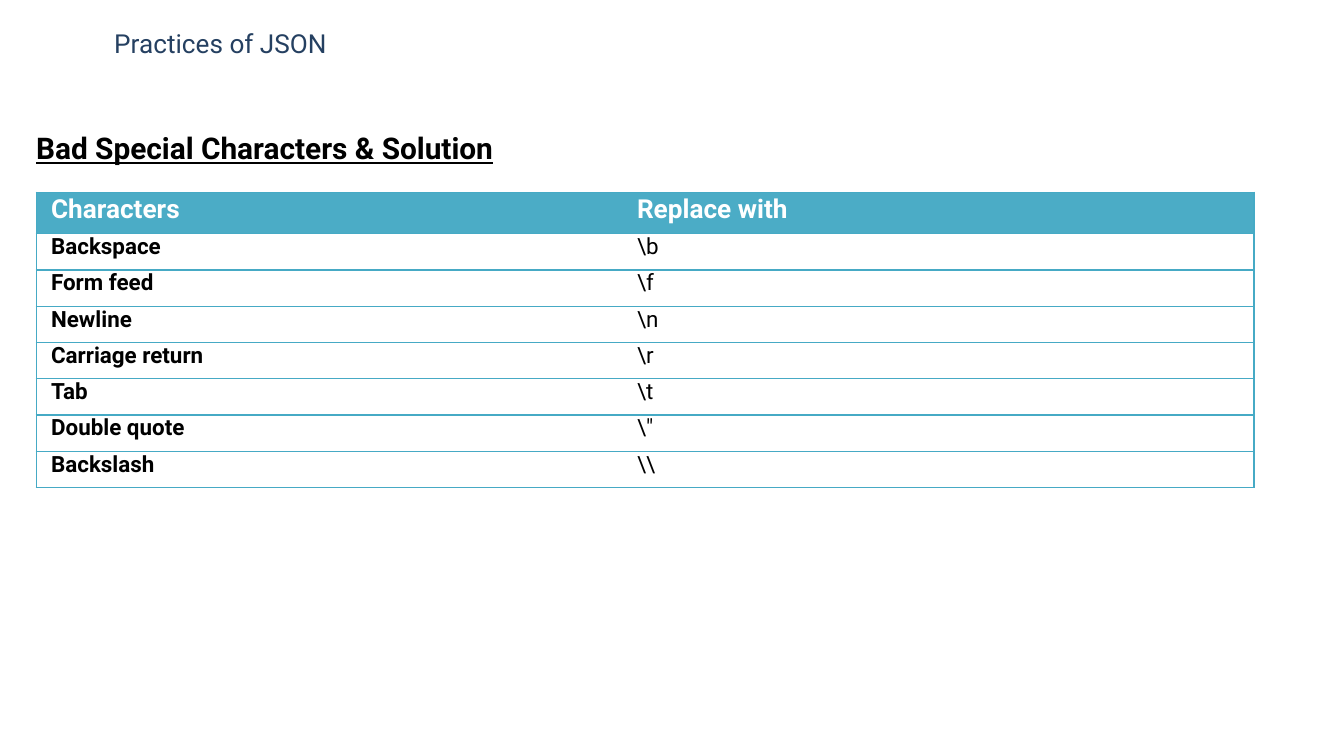
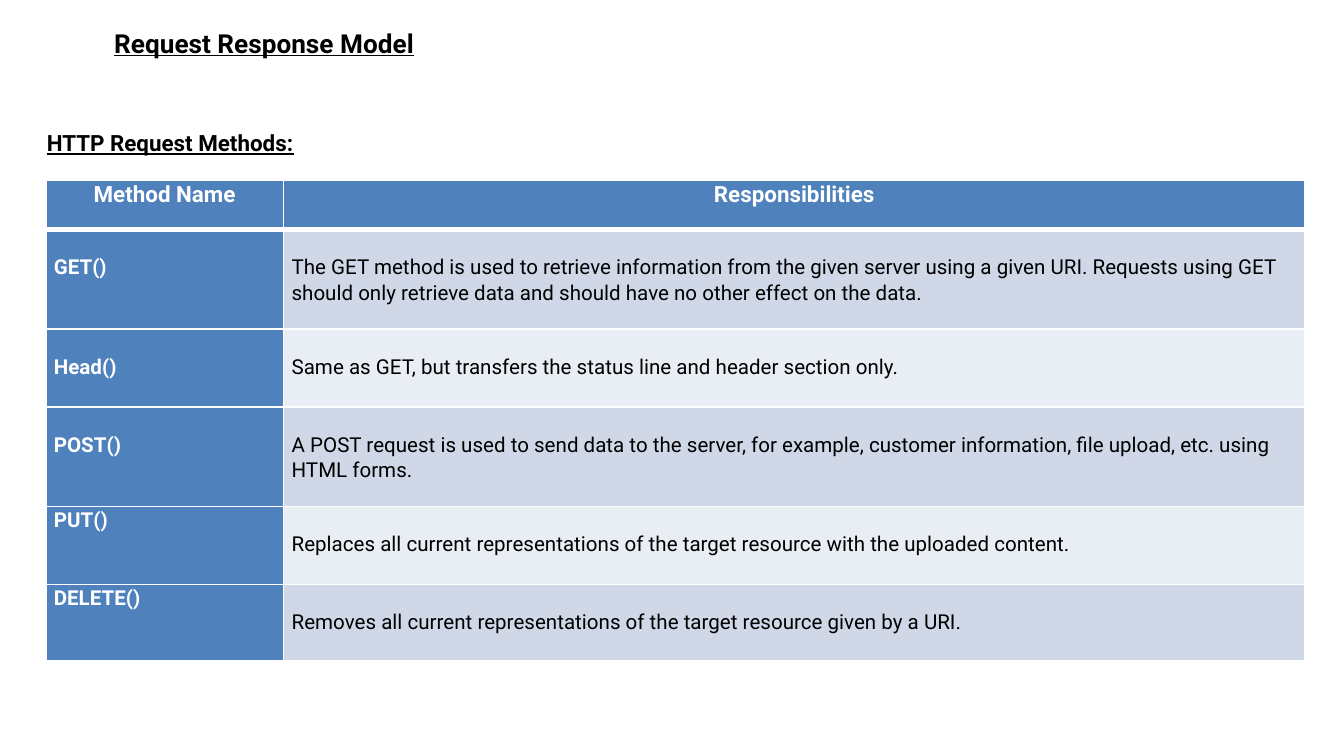
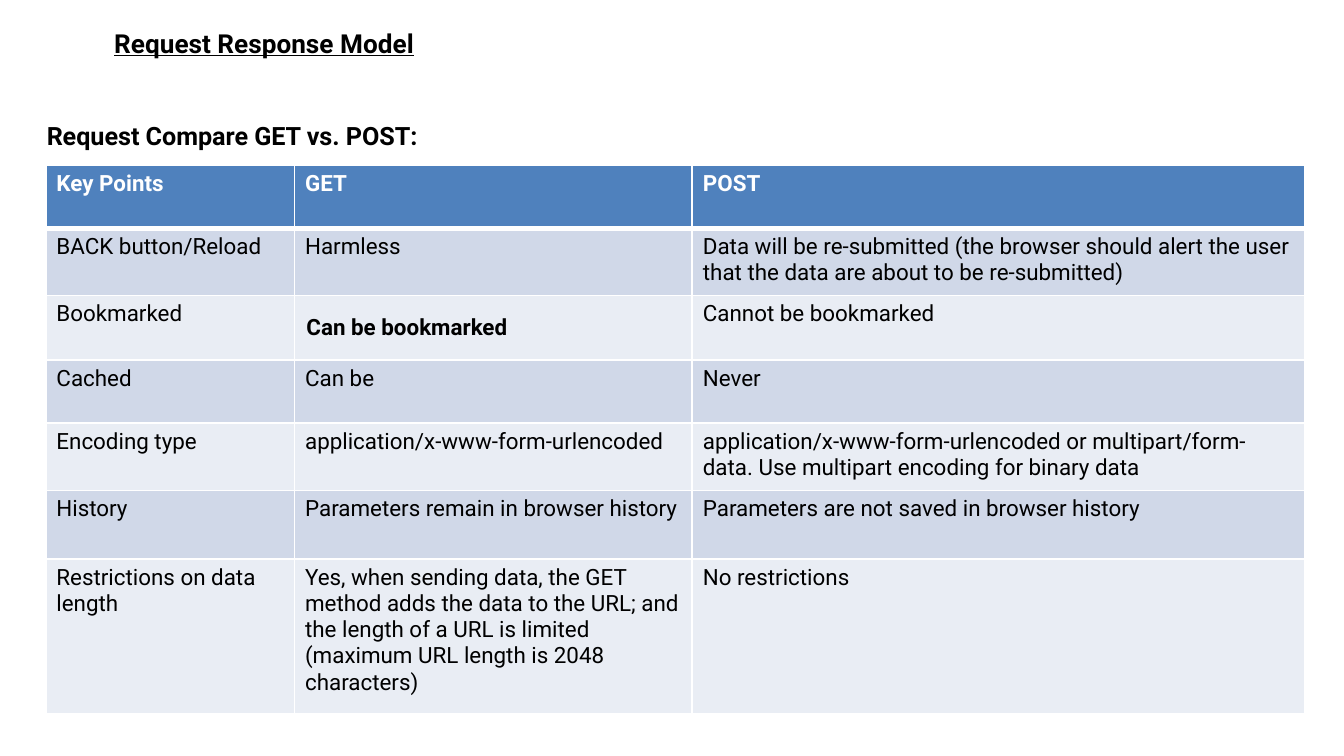
from dataclasses import dataclass

from lxml.etree import SubElement
from pptx import Presentation
from pptx.dml.color import RGBColor
from pptx.enum.text import MSO_ANCHOR, PP_ALIGN
from pptx.oxml.ns import qn
from pptx.util import Inches, Pt


@dataclass(frozen=True)
class Theme:
    font: str = "Roboto"
    black: str = "000000"
    white: str = "FFFFFF"
    navy: str = "254061"
    teal: str = "4BACC6"
    teal_line: str = "46AAC5"
    blue: str = "4F81BD"
    band_dark: str = "D0D8E8"
    band_light: str = "E9EDF4"
    heading_size: float = 16
    title_size: float = 14
    subheading_size: float = 13.5
    text_size: float = 12
    small_size: float = 11
    loose_spacing: float = 1.07


THEME = Theme()
TITLE_ONLY_LAYOUT = 5

SPECIAL_CHARACTERS = [
    ("Characters", "Replace with"),
    ("Backspace", r"\b"),
    ("Form feed", r"\f"),
    ("Newline", r"\n"),
    ("Carriage return", r"\r"),
    ("Tab", r"\t"),
    ("Double quote", r"\""),
    ("Backslash", r"\\"),
]
REQUEST_METHODS = [
    ("Method Name", "Responsibilities"),
    ("GET()", "The GET method is used to retrieve information from the given server using a given URI. "
     "Requests using GET should only retrieve data and should have no other effect on the data."),
    ("Head()", "Same as GET, but transfers the status line and header section only."),
    ("POST()", "A POST request is used to send data to the server, for example, customer information, "
     "file upload, etc. using HTML forms."),
    ("PUT()", "Replaces all current representations of the target resource with the uploaded content."),
    ("DELETE()", "Removes all current representations of the target resource given by a URI."),
]
GET_POST_COMPARISON = [
    ("Key Points", "GET", "POST"),
    ("BACK button/Reload", "Harmless", "Data will be re-submitted (the browser should alert the user "
     "that the data are about to be re-submitted)"),
    ("Bookmarked", "Can be bookmarked", "Cannot be bookmarked"),
    ("Cached", "Can be", "Never"),
    ("Encoding type", "application/x-www-form-urlencoded", "application/x-www-form-urlencoded or "
     "multipart/form-data. Use multipart encoding for binary data"),
    ("History", "Parameters remain in browser history", "Parameters are not saved in browser history"),
    ("Restrictions on data length", "Yes, when sending data, the GET method adds the data to the URL; "
     "and the length of a URL is limited (maximum URL length is 2048 characters)", "No restrictions"),
]


def write_text(text_frame, text, size=THEME.text_size, color=THEME.black, spacing=1.0,
               alignment=PP_ALIGN.LEFT, **font_format):
    paragraph = text_frame.paragraphs[0]
    paragraph.alignment = alignment
    paragraph.line_spacing = spacing
    run = paragraph.add_run()
    run.text = text
    run.font.color.rgb = RGBColor.from_string(color)
    for name, value in {"name": THEME.font, "size": Pt(size), **font_format}.items():
        setattr(run.font, name, value)


def add_titled_slide(presentation, title, width, **font_format):
    slide = presentation.slides.add_slide(presentation.slide_layouts[TITLE_ONLY_LAYOUT])
    shape = slide.shapes.title
    box = {"left": 0.75, "top": 0.15, "width": width, "height": 0.34}
    for name, value in box.items():
        setattr(shape, name, Inches(value))
    shape.text_frame.word_wrap = False
    shape.text_frame.vertical_anchor = MSO_ANCHOR.TOP
    write_text(shape.text_frame, title, **{"size": THEME.title_size, **font_format})
    return slide


def add_subheading(slide, text, left, top, width, height, **font_format):
    shape = slide.shapes.add_textbox(Inches(left), Inches(top), Inches(width), Inches(height))
    shape.text_frame.word_wrap = True
    write_text(shape.text_frame, text, spacing=THEME.loose_spacing, bold=True, **font_format)


def set_borders(cell, color, **widths):
    """Draw the sides L, R, T and B in points; a side that is not given has no line."""
    properties = cell._tc.get_or_add_tcPr()
    for side in "LRTB":
        width = widths.get(side, 0)
        line = SubElement(properties, qn(f"a:ln{side}"), w=str(Pt(width)))
        if width:
            fill = SubElement(line, qn("a:solidFill"))
            SubElement(fill, qn("a:srgbClr"), val=color)
        else:
            SubElement(line, qn("a:noFill"))


def set_margins(cell, horizontal, vertical):
    cell.margin_left = cell.margin_right = Inches(horizontal)
    cell.margin_top = cell.margin_bottom = Inches(vertical)


def set_fill(cell, color):
    cell.fill.solid()
    cell.fill.fore_color.rgb = RGBColor.from_string(color)


def add_table(slide, left, top, columns, heights, content):
    table = slide.shapes.add_table(len(content), len(columns), Inches(left), Inches(top),
                                   Inches(sum(columns)), Inches(sum(heights))).table
    table.first_row = table.horz_banding = False
    for column, width in zip(table.columns, columns):
        column.width = Inches(width)
    for row, height in zip(table.rows, heights):
        row.height = Inches(height)
    return table


def each_cell(table, content):
    for row, texts in enumerate(content):
        for column, text in enumerate(texts):
            yield row, column, table.cell(row, column), text


def style_banded_cell(cell, row, is_header):
    """White grid with a thick rule under the first row, blue headers and alternate bands."""
    set_borders(cell, THEME.white, L=1, R=1, T=3 if row == 1 else 1, B=3 if row == 0 else 1)
    band = THEME.band_dark if row % 2 else THEME.band_light
    set_fill(cell, THEME.blue if is_header else band)


def add_character_table(slide):
    content = SPECIAL_CHARACTERS
    table = add_table(slide, 0.27, 1.43, [4.36, 4.7], [0.31] + [0.27] * 7, content)
    for row, column, cell, text in each_cell(table, content):
        set_margins(cell, 0.11, 0)
        set_borders(cell, THEME.teal_line, T=0.75, B=0.75, **{"LR"[column]: 0.75})
        if row == 0:
            set_fill(cell, THEME.teal)
            write_text(cell.text_frame, text, THEME.title_size, THEME.white,
                       THEME.loose_spacing, bold=True)
        else:
            cell.fill.background()
            write_text(cell.text_frame, text, bold=column == 0)


def add_method_table(slide):
    content = REQUEST_METHODS
    table = add_table(slide, 0.34, 1.34, [1.77, 7.6], [0.37, 0.74, 0.58, 0.74, 0.58, 0.57], content)
    for row, column, cell, text in each_cell(table, content):
        is_header = row == 0 or column == 0
        starts_at_top = row == 0 or text in ("PUT()", "DELETE()")
        set_margins(cell, 0.06, 0)
        cell.margin_top = Inches(0 if starts_at_top else 0.18)
        style_banded_cell(cell, row, is_header)
        write_text(cell.text_frame, text,
                   size=THEME.small_size if row else THEME.text_size,
                   color=THEME.white if is_header else THEME.black,
                   spacing=THEME.loose_spacing,
                   alignment=PP_ALIGN.LEFT if row else PP_ALIGN.CENTER,
                   bold=is_header)


def add_comparison_table(slide):
    content = GET_POST_COMPARISON
    table = add_table(slide, 0.34, 1.23, [1.85, 2.96, 4.56],
                      [0.47, 0.5, 0.48, 0.47, 0.5, 0.51, 1.15], content)
    for row, column, cell, text in each_cell(table, content):
        is_header = row == 0
        is_emphasized = text == "Can be bookmarked"
        set_margins(cell, 0.08, 0.04)
        if is_emphasized:
            set_margins(cell, 0.09, 0.01)
            cell.vertical_anchor = MSO_ANCHOR.MIDDLE
        style_banded_cell(cell, row, is_header)
        write_text(cell.text_frame, text, color=THEME.white if is_header else THEME.black,
                   bold=is_header or is_emphasized)


def main():
    presentation = Presentation()
    presentation.slide_width = Inches(10)
    presentation.slide_height = presentation.slide_width * 9 // 16

    slide = add_titled_slide(presentation, "Practices of JSON", 1.8, color=THEME.navy)
    add_subheading(slide, "Bad Special Characters & Solution", 0.17, 0.9, 5.65, 0.37,
                   size=THEME.heading_size, underline=True)
    add_character_table(slide)

    model_title = {"title": "Request Response Model", "width": 2.45, "bold": True, "underline": True}
    slide = add_titled_slide(presentation, **model_title)
    add_subheading(slide, "HTTP Request Methods:", 0.25, 0.9, 5, 0.31, underline=True)
    add_method_table(slide)

    slide = add_titled_slide(presentation, **model_title)
    add_subheading(slide, "Request Compare GET vs. POST:", 0.25, 0.83, 5, 0.33,
                   size=THEME.subheading_size)
    add_comparison_table(slide)

    presentation.save("out.pptx")


if __name__ == "__main__":
    main()
